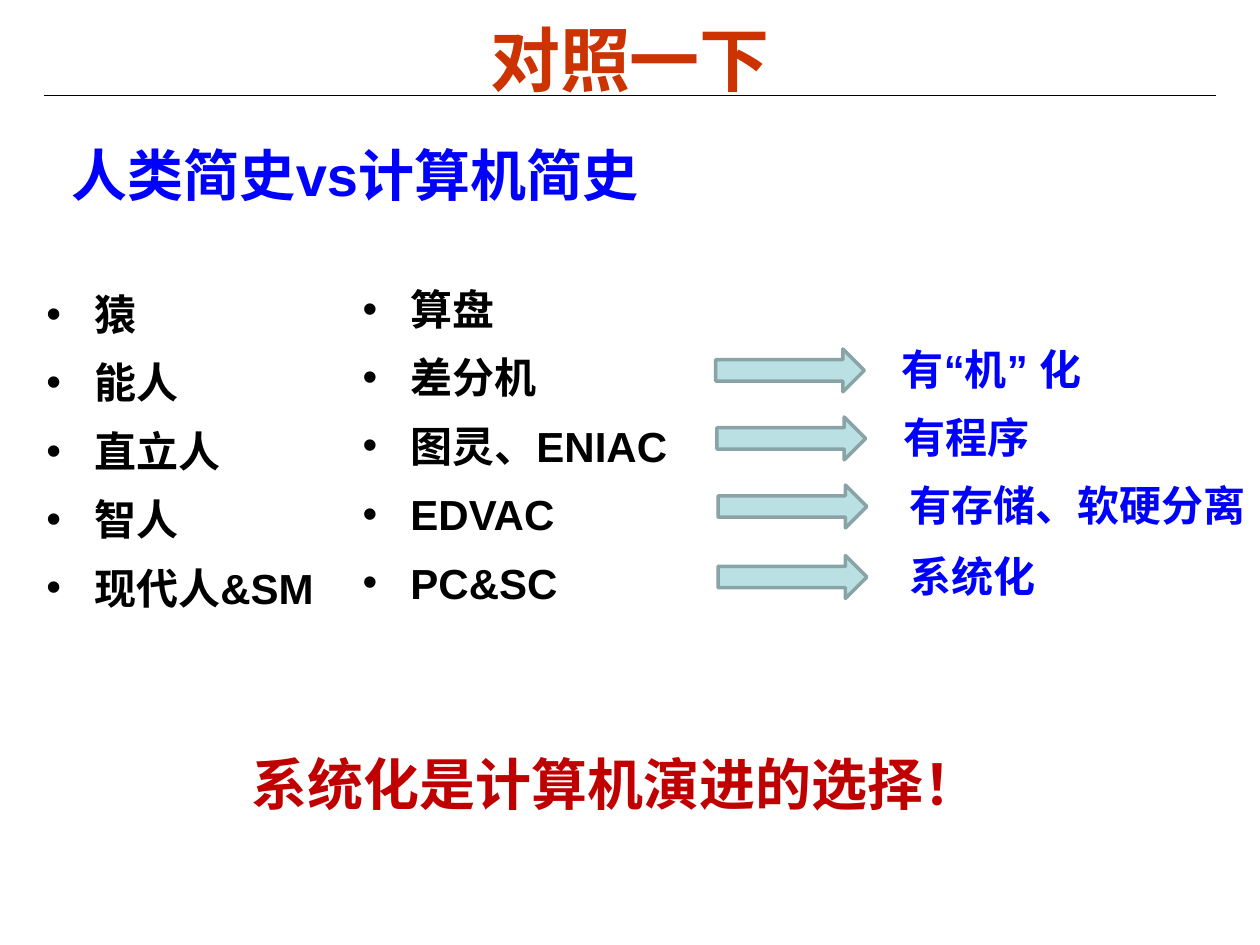
from pptx import Presentation
from pptx.dml.color import RGBColor
from pptx.enum.shapes import MSO_CONNECTOR, MSO_SHAPE
from pptx.enum.text import MSO_ANCHOR, PP_ALIGN
from pptx.oxml.ns import qn
from pptx.util import Inches, Pt
from lxml import etree

BLACK = RGBColor(0x00, 0x00, 0x00)
BLUE = RGBColor(0x00, 0x00, 0xFF)
ORANGE = RGBColor(0xCC, 0x33, 0x00)
RED = RGBColor(0xC0, 0x00, 0x00)
TEAL = RGBColor(0xBB, 0xE0, 0xE3)
GRAY = RGBColor(0x89, 0xA4, 0xA7)

deck = Presentation()
deck.slide_width, deck.slide_height = Inches(10), Inches(7.5)
slide = deck.slides.add_slide(deck.slide_layouts[6])


def add_text(lines, left, top, width, height, size=24, color=BLUE,
             font="Arial", spacing=1.15, align=PP_ALIGN.LEFT,
             anchor=MSO_ANCHOR.TOP, bullet=False):
    box = slide.shapes.add_textbox(Inches(left), Inches(top),
                                   Inches(width), Inches(height))
    frame = box.text_frame
    frame.word_wrap = True
    frame.vertical_anchor = anchor
    for i, line in enumerate(lines):
        para = frame.paragraphs[0] if i == 0 else frame.add_paragraph()
        para.alignment = align
        para.line_spacing = spacing
        if i:
            para.space_before = Pt(6)
        if bullet:
            props = para._p.get_or_add_pPr()
            props.set("marL", str(Inches(0.38)))
            props.set("indent", str(-Inches(0.38)))
            etree.SubElement(props, qn("a:buFont"), typeface="Arial")
            etree.SubElement(props, qn("a:buChar"), char="•")
        run = para.add_run()
        run.text = line
        run.font.size = Pt(size)
        run.font.bold = True
        run.font.name = font
        run.font.color.rgb = color
        etree.SubElement(run._r.get_or_add_rPr(), qn("a:ea"), typeface=font)


# Title and rule
rule = slide.shapes.add_connector(MSO_CONNECTOR.STRAIGHT, Inches(0.35),
                                  Inches(0.76), Inches(9.65), Inches(0.76))
rule.line.color.rgb = BLACK
rule.line.width = Pt(0.75)
etree.SubElement(rule._element.spPr, qn("a:effectLst"))
add_text(["对照一下"], 0.5, 0.16, 9, 0.61, size=40, color=ORANGE, spacing=1,
         align=PP_ALIGN.CENTER, anchor=MSO_ANCHOR.MIDDLE)
add_text(["人类简史vs计算机简史"], 0.47, 1.04, 5.76, 0.69, size=32, spacing=1.05)

# The two histories
add_text(["猿", "能人", "直立人", "智人", "现代人&SM"],
         0.27, 2.18, 3.13, 2.81, color=BLACK, bullet=True)
add_text(["算盘", "差分机", "图灵、ENIAC", "EDVAC", "PC&SC"],
         2.78, 2.14, 2.9, 2.86, color=BLACK, bullet=True)

# Arrows to what each step brought
steps = [
    ("有“机” 化", 5.68, 2.77, 7.06, 1.98),
    ("有程序", 5.69, 3.31, 7.07, 1.98),
    ("有存储、软硬分离", 5.7, 3.85, 7.12, 2.9),
    ("系统化", 5.7, 4.41, 7.12, 1.72),
]
for label, left, top, start, width in steps:
    arrow = slide.shapes.add_shape(MSO_SHAPE.RIGHT_ARROW, Inches(left),
                                   Inches(top), Inches(1.18), Inches(0.34))
    arrow.shadow.inherit = False
    arrow.fill.solid()
    arrow.fill.fore_color.rgb = TEAL
    arrow.line.color.rgb = GRAY
    arrow.line.width = Pt(2)
    add_text([label], start, top - 0.15, width, 0.54)

# Conclusion
add_text(["系统化是计算机演进的选择！"], 1.9, 5.82, 6.46, 0.54, size=32,
         color=RED, font="Noto Sans CJK SC")

deck.save("out.pptx")
